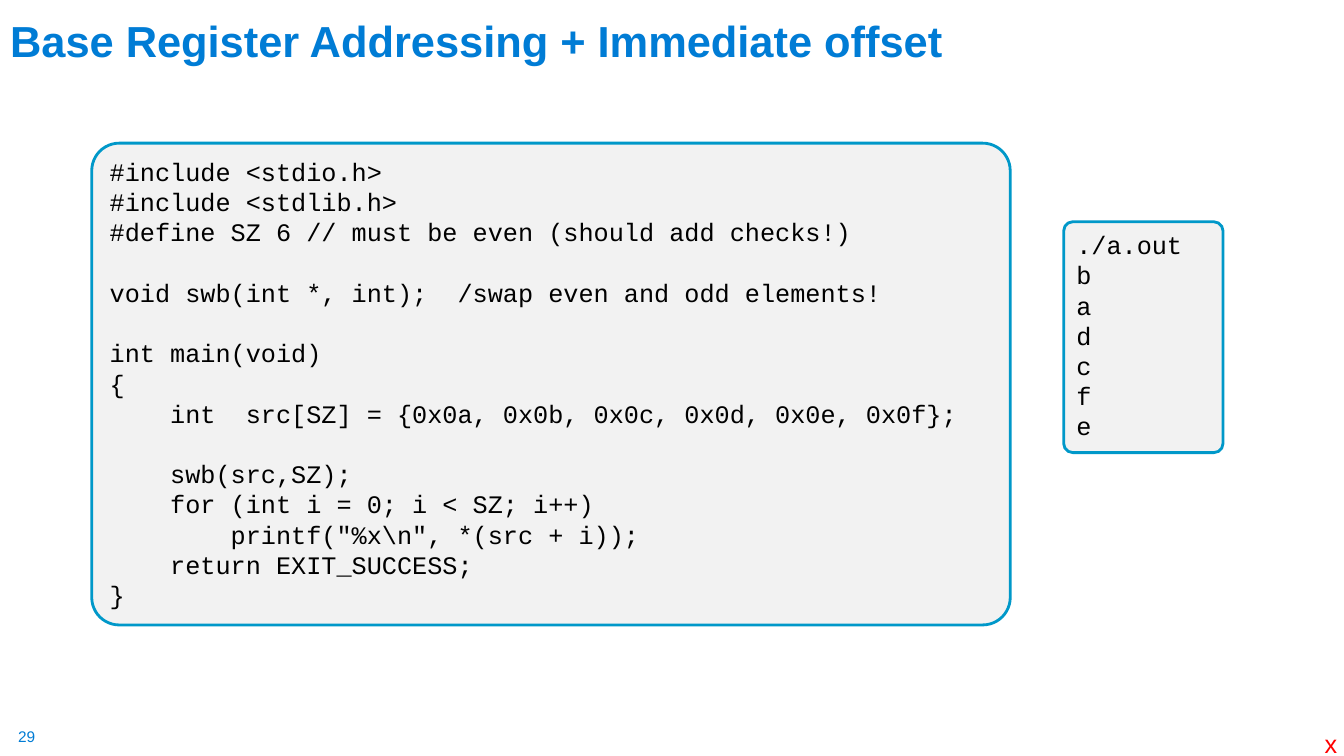
from dataclasses import dataclass

from pptx import Presentation
from pptx.dml.color import RGBColor
from pptx.enum.shapes import MSO_SHAPE
from pptx.enum.text import MSO_ANCHOR, MSO_AUTO_SIZE, PP_ALIGN
from pptx.shapes.autoshape import Shape
from pptx.slide import Slide
from pptx.text.text import TextFrame
from pptx.util import Inches, Length, Pt


@dataclass(frozen=True)
class Style:
    face: str
    size: Length
    color: RGBColor
    bold: bool = False


@dataclass(frozen=True)
class Theme:
    panel_fill: RGBColor = RGBColor(0xF2, 0xF2, 0xF2)
    panel_line: RGBColor = RGBColor(0x00, 0x98, 0xC9)
    panel_width: Length = Pt(2)
    panel_corner: float = 0.057
    code_pitch: Length = Pt(21.6)
    title: Style = Style("Arial", Pt(31), RGBColor(0x00, 0x7C, 0xD5), True)
    number: Style = Style("Arial", Pt(11), RGBColor(0x00, 0x7C, 0xD5))
    marker: Style = Style("Arial", Pt(18), RGBColor(0xFF, 0x00, 0x00))
    code: Style = Style("Courier New", Pt(18), RGBColor(0x00, 0x00, 0x00))


@dataclass(frozen=True)
class Box:
    left: float
    top: float
    width: float
    height: float

    def lengths(self) -> tuple[Length, ...]:
        return tuple(Inches(v) for v in (self.left, self.top, self.width, self.height))


@dataclass(frozen=True)
class Panel:
    box: Box
    code: str


@dataclass(frozen=True)
class Label:
    box: Box
    text: str
    style: Style
    margin_x: float
    margin_y: float


THEME = Theme()

PROGRAM = r"""#include <stdio.h>
#include <stdlib.h>
#define SZ 6 // must be even (should add checks!)

void swb(int *, int);  /swap even and odd elements!

int main(void)
{
    int  src[SZ] = {0x0a, 0x0b, 0x0c, 0x0d, 0x0e, 0x0f};

    swb(src,SZ);
    for (int i = 0; i < SZ; i++)
        printf("%x\n", *(src + i));
    return EXIT_SUCCESS;
}"""

OUTPUT = "\n".join(["./a.out", *"badcfe"])

PANELS = [
    Panel(Box(0.91, 1.42, 9.11, 4.78), PROGRAM),
    Panel(Box(10.55, 2.2, 1.58, 2.29), OUTPUT),
]
LABELS = [
    Label(Box(0.18, 7.21, 0.19, 0.19), "29", THEME.number, 0, 0),
    Label(Box(13.04, 7.18, 0.33, 0.4), "x", THEME.marker, 0.1, 0.05),
]


def format_frame(frame: TextFrame, **changes: object) -> None:
    formats = {
        "auto_size": MSO_AUTO_SIZE.NONE,
        "word_wrap": True,
        "vertical_anchor": MSO_ANCHOR.TOP,
        "margin_left": Inches(0.1),
        "margin_right": Inches(0.1),
        "margin_top": Inches(0.05),
        "margin_bottom": Inches(0.05),
    } | changes
    for name, value in formats.items():
        setattr(frame, name, value)


def write_lines(frame: TextFrame, lines: list[str], style: Style) -> None:
    frame.text = "\n".join(lines)
    for paragraph in frame.paragraphs:
        paragraph.alignment = PP_ALIGN.LEFT
        for run in paragraph.runs:
            formats = {"name": style.face, "size": style.size, "bold": style.bold}
            for name, value in formats.items():
                setattr(run.font, name, value)
            run.font.color.rgb = style.color


def add_title(slide: Slide, text: str, box: Box) -> None:
    title = slide.shapes.title
    title.left, title.top, title.width, title.height = box.lengths()
    format_frame(title.text_frame, vertical_anchor=MSO_ANCHOR.BOTTOM)
    write_lines(title.text_frame, [text], THEME.title)


def add_panel(slide: Slide, panel: Panel) -> Shape:
    shape = slide.shapes.add_shape(MSO_SHAPE.ROUNDED_RECTANGLE, *panel.box.lengths())
    shape.adjustments[0] = THEME.panel_corner
    shape.shadow.inherit = False
    shape.fill.solid()
    shape.fill.fore_color.rgb = THEME.panel_fill
    shape.line.color.rgb = THEME.panel_line
    shape.line.width = THEME.panel_width

    # Each block of code after the first starts one line lower
    blocks = [block.split("\n") for block in panel.code.split("\n\n")]
    lines = [line for block in blocks for line in block]
    gaps = [index == 0 for block in blocks for index in range(len(block))]
    frame = shape.text_frame
    format_frame(frame)
    write_lines(frame, lines, THEME.code)
    for position, (paragraph, starts_block) in enumerate(zip(frame.paragraphs, gaps)):
        paragraph.line_spacing = THEME.code_pitch
        if position and starts_block:
            paragraph.space_before = THEME.code_pitch
    return shape


def add_label(slide: Slide, label: Label) -> None:
    frame = slide.shapes.add_textbox(*label.box.lengths()).text_frame
    side, edge = Inches(label.margin_x), Inches(label.margin_y)
    format_frame(frame, word_wrap=False, margin_left=side, margin_right=side,
                 margin_top=edge, margin_bottom=edge)
    write_lines(frame, [label.text], label.style)


def main() -> None:
    deck = Presentation()
    deck.slide_width, deck.slide_height = Inches(13.33), Inches(7.5)
    slide = deck.slides.add_slide(deck.slide_layouts.get_by_name("Title Only"))

    # Title
    add_title(slide, "Base Register Addressing + Immediate offset",
              Box(0, 0.23, 10.72, 0.48))

    # Program and its output
    for panel in PANELS:
        add_panel(slide, panel)

    # Page number and corner marker
    for label in LABELS:
        add_label(slide, label)

    deck.save("out.pptx")


if __name__ == "__main__":
    main()
